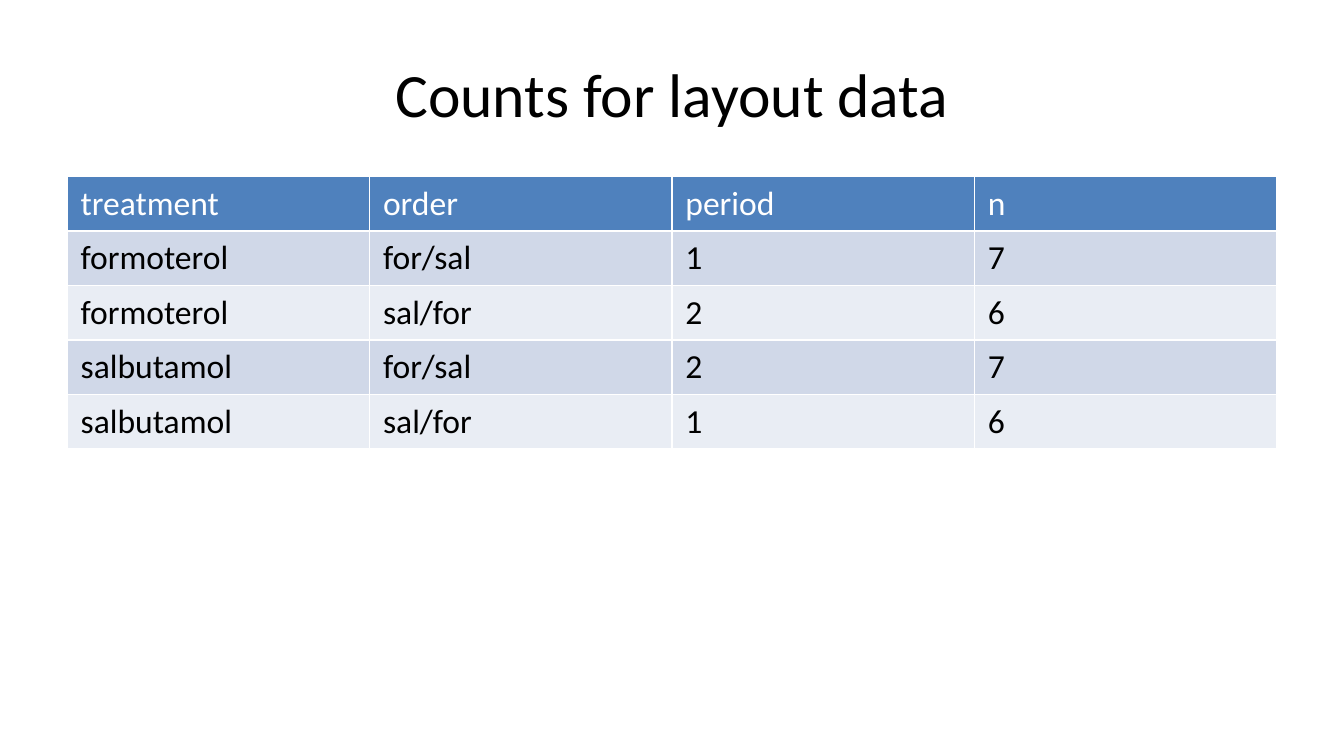
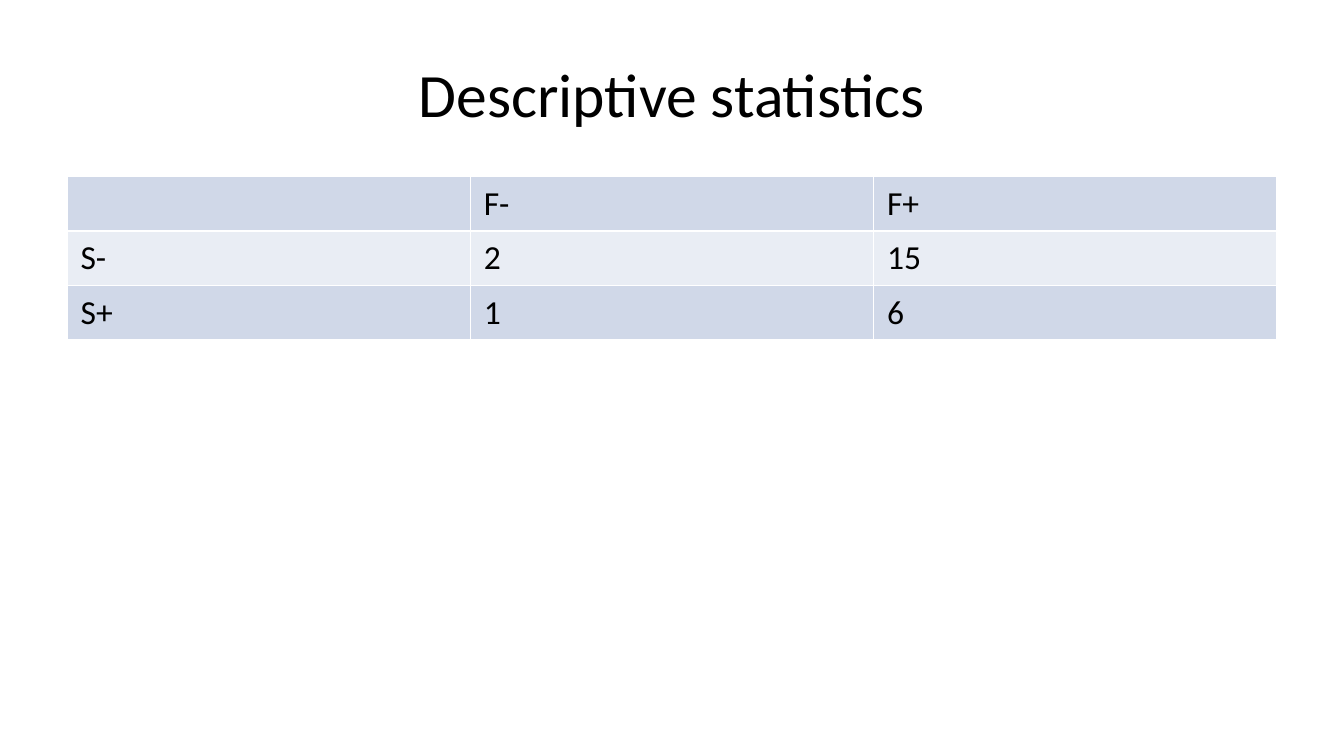
from dataclasses import dataclass

from pptx import Presentation
from pptx.dml.color import RGBColor
from pptx.enum.text import MSO_ANCHOR, MSO_AUTO_SIZE, PP_ALIGN
from pptx.util import Inches, Pt


@dataclass(frozen=True)
class Theme:
    """Colours, type sizes and grid shared by the slides."""
    face: str = "Calibri"
    ink: str = "000000"
    paper: str = "FFFFFF"
    head: str = "4F81BD"
    bands: tuple = ("D0D8E8", "E9EDF4")
    title: int = 33
    body: int = 18
    width: float = 10
    height: float = 10 * 9 / 16
    cols: int = 20
    rows: int = 24
    line: float = 0.4


THEME = Theme()
TITLE = (1, 0.96, 18, 4)
TABLE = (1, 5.6, 18)

COUNTS = [
    ("treatment", "order", "period", "n"),
    ("formoterol", "for/sal", "1", "7"),
    ("formoterol", "sal/for", "2", "6"),
    ("salbutamol", "for/sal", "2", "7"),
    ("salbutamol", "sal/for", "1", "6"),
]
STATS = [
    ("", "F-", "F+"),
    ("S-", "2", "15"),
    ("S+", "1", "6"),
]


def across(count):
    """Return the width of a number of grid columns."""
    return Inches(count * THEME.width / THEME.cols)


def down(count):
    """Return the height of a number of grid rows."""
    return Inches(count * THEME.height / THEME.rows)


def apply(target, values):
    """Set each named attribute of the target."""
    for name, value in values.items():
        setattr(target, name, value)


def style(font, size, color):
    """Give a font the theme face with a size and colour."""
    apply(font, {"name": THEME.face, "size": Pt(size), "bold": False})
    font.color.rgb = RGBColor.from_string(color)


def add_title(slide, text, box):
    """Place and format the title within the grid box."""
    col, row, wide, high = box
    title = slide.shapes.title
    apply(title, {"left": across(col), "top": down(row),
                  "width": across(wide), "height": down(high)})
    frame = title.text_frame
    apply(frame, {"text": text, "word_wrap": True,
                  "auto_size": MSO_AUTO_SIZE.NONE,
                  "vertical_anchor": MSO_ANCHOR.MIDDLE})
    para = frame.paragraphs[0]
    para.alignment = PP_ALIGN.CENTER
    style(para.runs[0].font, THEME.title, THEME.ink)


def add_grid(slide, data, box, header):
    """Place a banded table of equal columns within the grid box."""
    col, row, wide = box
    table = slide.shapes.add_table(
        len(data), len(data[0]), across(col), down(row),
        across(wide), Inches(THEME.line * len(data))).table
    apply(table, {"first_row": header, "horz_banding": True})
    for r, texts in enumerate(data):
        top = header and r == 0
        fill = THEME.head if top else THEME.bands[(r - header) % 2]
        for c, text in enumerate(texts):
            cell = table.cell(r, c)
            cell.fill.solid()
            cell.fill.fore_color.rgb = RGBColor.from_string(fill)
            cell.text = text
            style(cell.text_frame.paragraphs[0].font, THEME.body,
                  THEME.paper if top else THEME.ink)


def add_page(deck, title, data, header):
    """Add a slide with a title above a table."""
    slide = deck.slides.add_slide(deck.slide_layouts[5])
    add_title(slide, title, TITLE)
    add_grid(slide, data, TABLE, header)


def main():
    """Build and save the slides."""
    deck = Presentation()
    apply(deck, {"slide_width": Inches(THEME.width),
                 "slide_height": Inches(THEME.height)})
    add_page(deck, "Counts for layout data", COUNTS, True)
    add_page(deck, "Descriptive statistics", STATS, False)
    deck.save("out.pptx")


if __name__ == "__main__":
    main()
